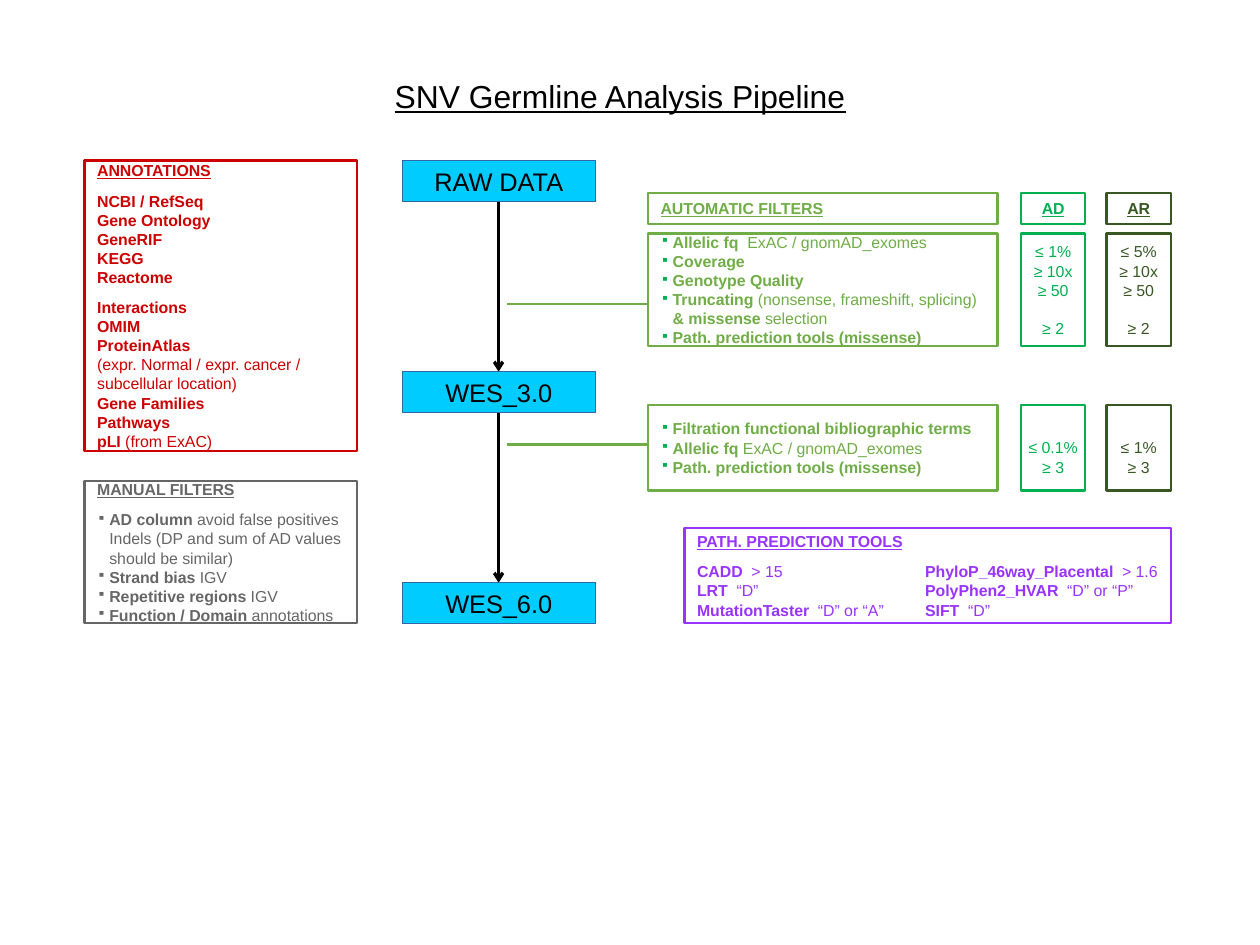
from lxml.etree import SubElement
from pptx import Presentation
from pptx.dml.color import RGBColor
from pptx.enum.shapes import MSO_CONNECTOR, MSO_SHAPE
from pptx.enum.text import MSO_ANCHOR, PP_ALIGN
from pptx.oxml.ns import qn
from pptx.util import Cm, Pt

TITLE = "SNV Germline Analysis Pipeline"
STAGES = ["RAW DATA", "WES_3.0", "WES_6.0"]
RED, GREY, GREEN, PURPLE = "CC0000", "666666", "70AD47", "9933FF"
AD, AR = "00B050", "385723"

# Markup: *bold*, _ at the start = underlined bold heading, - = bullet,
# + = gap above, ++ = a whole line of gap, newline = line break in the paragraph
ANNOTATIONS = [
    "_ANNOTATIONS", "+*NCBI / RefSeq*", "*Gene Ontology*", "*GeneRIF*", "*KEGG*",
    "*Reactome*", "+*Interactions*", "*OMIM*", "*ProteinAtlas*",
    "(expr. Normal / expr. cancer /\nsubcellular location)",
    "*Gene Families*", "*Pathways*", "*pLI *(from ExAC)"]
MANUAL = [
    "_MANUAL FILTERS",
    "+-*AD column* avoid false positives\nIndels (DP and sum of AD values\nshould be similar)",
    "-*Strand bias* IGV", "-*Repetitive regions* IGV",
    "-*Function / Domain *annotations"]
AUTOMATIC = [
    "-*Allelic fq  *ExAC / gnomAD_exomes", "-*Coverage*", "-*Genotype Quality*",
    "-*Truncating *(nonsense, frameshift, splicing)\n*& missense *selection",
    "-*Path. prediction tools (missense)*"]
BIBLIOGRAPHIC = [
    "-*Filtration functional bibliographic terms*",
    "-*Allelic fq *ExAC / gnomAD_exomes", "-*Path. prediction tools (missense)*"]
TOOLS = [
    "_PATH. PREDICTION TOOLS",
    "+*CADD*  > 15\t*PhyloP_46way_Placental*  > 1.6",
    "*LRT  *“D”\t*PolyPhen2_HVAR  *“D” or “P”",
    "*MutationTaster*  “D” or “A”\t*SIFT*  “D”"]

# Filter rows: top, height, drop of the threshold text, cells per column
FILTER_ROWS = [
    (4.29, 0.69, 0, ["_AUTOMATIC FILTERS"], ["_AD"], ["_AR"]),
    (5.19, 2.5, 0, AUTOMATIC, ["≤ 1%", "≥ 10x", "≥ 50", "++≥ 2"],
     ["≤ 5%", "≥ 10x", "≥ 50", "++≥ 2"]),
    (9.0, 1.9, 0.42, BIBLIOGRAPHIC, ["≤ 0.1%", "≥ 3"], ["≤ 1%", "≥ 3"])]
FILTER_COLS = [(14.4, 7.77, GREEN), (22.69, 1.43, AD), (24.59, 1.43, AR)]

LEFT, PANEL_W = 1.88, 6.05
STAGE_X, STAGE_W, STAGE_H = 8.94, 4.29, 0.91
TOP, STAGE_STEP = 3.57, 4.69
AXIS, BRANCH_X = 11.08, 11.26
BRANCHES = [6.75, 9.88]
LINE_GAP, SMALL_GAP = 12, 7

prs = Presentation()
prs.slide_width, prs.slide_height = Cm(28), Cm(21)
slide = prs.slides.add_slide(prs.slide_layouts[5])


def rgb(color):
    return RGBColor.from_string(color)


def style(r, size, color, bold=False, underline=False):
    r.font.name, r.font.size = "Arial", Pt(size)
    r.font.bold, r.font.underline = bold, underline
    r.font.color.rgb = rgb(color)


def add_bullet(p, color):
    pPr = p._p.get_or_add_pPr()
    pPr.set("marL", str(Cm(0.27)))
    pPr.set("indent", str(-Cm(0.27)))
    SubElement(SubElement(pPr, qn("a:buClr")), qn("a:srgbClr"), val=color)
    SubElement(pPr, qn("a:buSzPct"), val="75000")
    SubElement(pPr, qn("a:buChar"), char="▪")


def add_tab(p, position):
    tabs = SubElement(p._p.get_or_add_pPr(), qn("a:tabLst"))
    SubElement(tabs, qn("a:tab"), pos=str(Cm(position)), algn="l")


def write(p, text, color, size, bullet_color):
    gap = len(text) - len(text.lstrip("+"))
    p.space_before = Pt((0, SMALL_GAP, LINE_GAP)[gap])
    text = text.lstrip("+")
    if text.startswith("-"):
        add_bullet(p, bullet_color)
        text = text[1:]
    if "\t" in text:
        add_tab(p, 5.07)
    heading = text.startswith("_")
    if heading:
        text = f"*{text[1:]}*"
    for i, part in enumerate(text.split("*")):
        for j, piece in enumerate(part.split("\n")):
            if j:
                p.add_line_break()
            if piece:
                r = p.add_run()
                r.text = piece
                style(r, size, color, i % 2 == 1, heading)


def add_box(x, y, w, h, lines, color, fill="FFFFFF", border=None, width=1.45,
            size=10, centred=False, drop=0, bullet_color=None):
    sp = slide.shapes.add_shape(MSO_SHAPE.RECTANGLE, Cm(x), Cm(y), Cm(w), Cm(h))
    sp.shadow.inherit = False
    sp.fill.solid()
    sp.fill.fore_color.rgb = rgb(fill)
    sp.line.color.rgb = rgb(border or color)
    sp.line.width = Pt(width)
    tf = sp.text_frame
    tf.word_wrap = True
    tf.vertical_anchor = MSO_ANCHOR.MIDDLE
    tf.margin_left, tf.margin_right = Cm(0.05 if centred else 0.28), Cm(0.05)
    tf.margin_top, tf.margin_bottom = Cm(0.15 + drop), Cm(0.15)
    for i, text in enumerate(lines):
        p = tf.paragraphs[0] if i == 0 else tf.add_paragraph()
        p.alignment = PP_ALIGN.CENTER if centred else PP_ALIGN.LEFT
        write(p, text, color, size, bullet_color or color)


def add_line(x1, y1, x2, y2, color, width, arrow=False):
    line = slide.shapes.add_connector(
        MSO_CONNECTOR.STRAIGHT, Cm(x1), Cm(y1), Cm(x2), Cm(y2))
    line.line.color.rgb = rgb(color)
    line.line.width = Pt(width)
    if arrow:
        SubElement(line.line._get_or_add_ln(), qn("a:tailEnd"), type="arrow")
    SubElement(line._element.spPr, qn("a:effectLst"))


# Title
title = slide.shapes.title
title.left, title.top, title.width, title.height = Cm(8.48), Cm(1.6), Cm(10.6), Cm(1.07)
tf = title.text_frame
tf.text = TITLE
tf.word_wrap = False
tf.vertical_anchor = MSO_ANCHOR.MIDDLE
tf.paragraphs[0].alignment = PP_ALIGN.CENTER
style(tf.paragraphs[0].runs[0], 20, "000000", underline=True)

# Pipeline stages and arrows between them
for i, stage in enumerate(STAGES):
    y = TOP + i * STAGE_STEP
    if i:
        add_line(AXIS, y - STAGE_STEP + STAGE_H, AXIS, y, "000000", 0, arrow=True)
    add_box(STAGE_X, y, STAGE_W, STAGE_H, [stage], "000000", "00CCFF", "3465A4",
            width=0, size=16, centred=True)

# Branches from the pipeline to the filters
for y in BRANCHES:
    add_line(BRANCH_X, y, FILTER_COLS[0][0], y, GREEN, 1.45)

# Filters with their AD and AR thresholds
for y, h, drop, *cells in FILTER_ROWS:
    for i, ((x, w, color), lines) in enumerate(zip(FILTER_COLS, cells)):
        add_box(x, y, w, h, lines, color, centred=i > 0, drop=drop if i else 0,
                bullet_color=AD)

# Side panels and prediction tools
add_box(LEFT, TOP, PANEL_W, 6.45, ANNOTATIONS, RED)
add_box(LEFT, 10.69, PANEL_W, 3.16, MANUAL, GREY)
add_box(15.21, 11.73, 10.81, 2.12, TOOLS, PURPLE)

prs.save("out.pptx")
